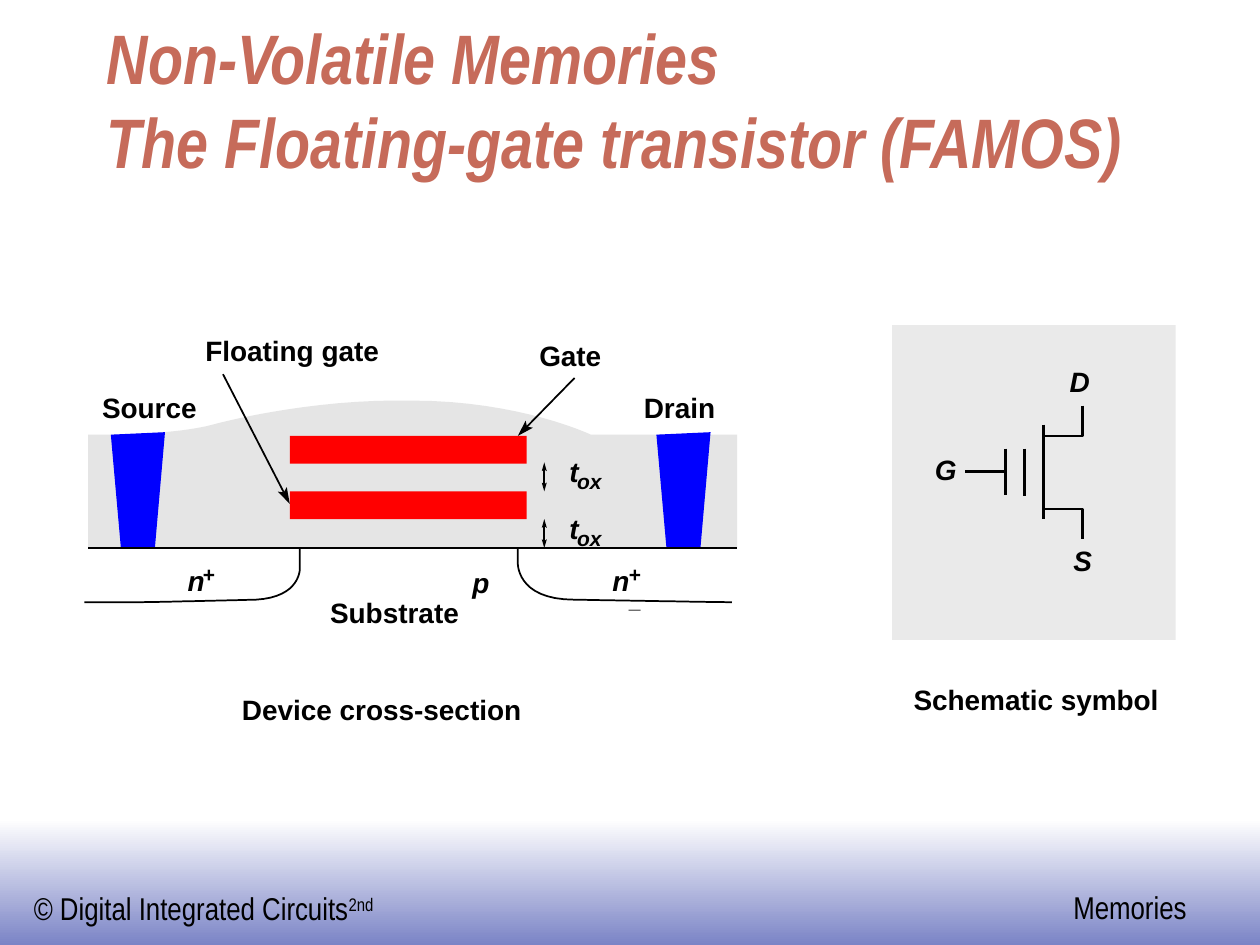
from math import hypot
from typing import NamedTuple

from lxml import etree
from pptx import Presentation
from pptx.dml.color import RGBColor
from pptx.enum.shapes import MSO_CONNECTOR, MSO_SHAPE
from pptx.enum.text import MSO_ANCHOR, MSO_AUTO_SIZE
from pptx.oxml.ns import qn
from pptx.util import Cm, Pt

RECT = MSO_SHAPE.RECTANGLE
LINE = MSO_CONNECTOR.STRAIGHT
TOP, BOTTOM = MSO_ANCHOR.TOP, MSO_ANCHOR.BOTTOM
GROW = MSO_AUTO_SIZE.SHAPE_TO_FIT_TEXT
BLACK, RED, BLUE = "000000", "FF0000", "0000FF"
NARROW = "Arial Narrow"
STEPS = 16
SLACK = 0.03


class Label(NamedTuple):
    text: str
    x: float
    y: float
    w: float
    size: int = 16
    slant: bool = False


class Wire(NamedTuple):
    x1: float
    y1: float
    x2: float
    y2: float
    width: float = 1


def inch(value: float) -> Cm:
    return Cm(value * 2.54)


def rgb(code: str) -> RGBColor:
    return RGBColor.from_string(code)


def paint(form, fill: str = "", line: str = "", width: float = 1):
    form.shadow.inherit = False
    if fill:
        form.fill.solid()
        form.fill.fore_color.rgb = rgb(fill)
    else:
        form.fill.background()
    if line:
        form.line.color.rgb = rgb(line)
        form.line.width = Pt(width)
    else:
        form.line.fill.background()


def block(pad, x: float, y: float, w: float, h: float, fill: str):
    form = pad.add_shape(RECT, *map(inch, (x, y, w, h)))
    paint(form, fill)
    return form


def write(pad, text: str, x: float, y: float, w: float, h: float, *,
          size: int = 16, font: str = "Arial", color: str = BLACK,
          bold: bool = True, slant: bool = False, wrap: bool = False,
          inset: bool = False, anchor=TOP, raised: str = ""):
    box = pad.add_textbox(*map(inch, (x, y, w, h)))
    frame = box.text_frame
    frame.word_wrap = wrap
    frame.vertical_anchor = anchor
    if not wrap:
        frame.auto_size = GROW
    if not inset:
        frame.margin_left = frame.margin_right = 0
        frame.margin_top = frame.margin_bottom = 0
    para = frame.paragraphs[0]
    para.text = text
    if raised:
        run = para.add_run()
        run.text = raised
        run._r.get_or_add_rPr().set("baseline", "30000")
    for run in para.runs:
        face = run.font
        face.name, face.size = font, Pt(size)
        face.bold, face.italic = bold, slant
        face.color.rgb = rgb(color)


def note(pad, label: Label):
    write(pad, label.text, label.x, label.y, label.w + SLACK,
          label.size / 60, size=label.size, slant=label.slant)


def draw(pad, wire: Wire):
    link = pad.add_connector(LINE, *map(inch, wire[:4]))
    link.line.color.rgb = rgb(BLACK)
    link.line.width = Pt(wire.width)
    etree.SubElement(link._element.spPr, qn("a:effectLst"))


def trace(path: list[tuple]) -> list[tuple]:
    """Turn points and six-number Bezier steps into plain points."""
    dots = [path[0]]
    for step in path[1:]:
        if len(step) == 2:
            dots.append(step)
            continue
        ends = (dots[-1], step[:2], step[2:4], step[4:])
        for i in range(1, STEPS + 1):
            t = i / STEPS
            mix = ((1 - t) ** 3, 3 * t * (1 - t) ** 2,
                   3 * t * t * (1 - t), t ** 3)
            dots.append(tuple(sum(m * e[k] for m, e in zip(mix, ends))
                              for k in (0, 1)))
    return dots


def shape(pad, path: list[tuple], fill: str = "", line: str = "",
          width: float = 1):
    dots = [(inch(x), inch(y)) for x, y in trace(path)]
    form = pad.build_freeform(*dots[0])
    form.add_line_segments(dots[1:], close=bool(fill))
    paint(form.convert_to_shape(), fill, line, width)


def arrow(pad, wire: Wire, size: float, half: float, both: bool = False):
    """Draw a line with barbed heads of the given length and half width."""
    x1, y1, x2, y2, _ = wire
    span = hypot(x2 - x1, y2 - y1)
    ux, uy = (x2 - x1) / span, (y2 - y1) / span
    notch = 0.8 * size
    skip = notch if both else 0
    draw(pad, Wire(x1 + skip * ux, y1 + skip * uy,
                   x2 - notch * ux, y2 - notch * uy))
    tips = [(x2, y2, 1)] + ([(x1, y1, -1)] if both else [])
    for x, y, way in tips:
        barbs = ((0, 0), (size, half), (notch, 0), (size, -half))
        shape(pad, [(x - way * (a * ux + b * uy), y - way * (a * uy - b * ux))
                    for a, b in barbs], fill=BLACK)


def footer(pad):
    band = block(pad, 0, 6.5, 10, 1, "FFFFFF")
    band.fill.gradient()
    band.fill.gradient_angle = 270
    for stop, place, code in zip(band.fill.gradient_stops, (0, 1),
                                 ("FFFFFF", "7B84C6")):
        stop.position = place
        stop.color.rgb = rgb(code)
    style = dict(size=18, font=NARROW, bold=False, inset=True)
    write(pad, "© Digital Integrated Circuits", 0.17, 7.01, 2.93, 0.4,
          raised="2nd", **style)
    write(pad, "Memories", 8.42, 7, 1.1, 0.4, **style)


def device(pad):
    shape(pad, [(4.11, 4.35), (4.11, 4.46),
                (4.11, 4.46, 4.09, 4.76, 4.56, 4.76),
                (4.56, 4.76, 5.7, 4.78, 5.81, 4.78)], line=BLACK)
    shape(pad, [(2.38, 4.35), (2.38, 4.51),
                (2.38, 4.51, 2.39, 4.74, 2.03, 4.76),
                (2.03, 4.76, 1.22, 4.78, 1.09, 4.78),
                (0.67, 4.78)], line=BLACK)
    shape(pad, [(3.28, 3.18), (4.12, 3.18, 4.69, 3.45, 4.69, 3.45),
                (5.85, 3.45), (5.85, 4.35), (0.7, 4.35), (0.7, 3.45),
                (0.88, 3.45), (0.88, 3.45, 1.39, 3.45, 1.69, 3.37),
                (1.69, 3.37, 2.44, 3.16, 3.28, 3.18)], fill="E5E5E5")
    for top in (3.46, 3.9):
        block(pad, 2.3, top, 1.88, 0.22, RED)
    for x in (0.88, 5.21):
        shape(pad, [(x + 0.08, 4.35), (x, 3.45), (x + 0.43, 3.43),
                    (x + 0.35, 4.35)], fill=BLUE)
    for wire in (Wire(1.77, 2.97, 2.3, 4), Wire(4.56, 3, 4.11, 3.46)):
        arrow(pad, wire, 0.13, 0.04)
    draw(pad, Wire(0.7, 4.35, 5.85, 4.35))
    for top in (3.67, 4.12):
        arrow(pad, Wire(4.32, top, 4.32, top + 0.23), 0.07, 0.02, both=True)
        note(pad, Label("t", 4.52, top - 0.06, 0.07, slant=True))
        note(pad, Label("ox", 4.58, top + 0.05, 0.19, 12, True))
    for label in (Label("Floating gate", 1.63, 2.65, 1.38),
                  Label("Source", 0.81, 3.1, 0.75),
                  Label("Substrate", 2.62, 4.73, 1.02),
                  Label("Gate", 4.28, 2.69, 0.49),
                  Label("Drain", 5.11, 3.1, 0.57),
                  Label("n", 1.49, 4.47, 0.14, slant=True),
                  Label("+", 1.61, 4.46, 0.1, 12),
                  Label("n", 4.86, 4.47, 0.14, slant=True),
                  Label("+_", 4.99, 4.46, 0.12, 12),
                  Label("p", 3.75, 4.49, 0.14, slant=True),
                  Label("Device cross-section", 1.92, 5.5, 2.22),
                  Label("Schematic symbol", 7.25, 5.42, 1.95)):
        note(pad, label)


def symbol(pad):
    for path in ([(8.28, 4.04), (8.59, 4.04), (8.59, 4.28)],
                 [(8.59, 3.22), (8.59, 3.46), (8.28, 3.46)]):
        shape(pad, path, line=BLACK, width=1.5)
    for ends in ((8.28, 3.37, 8.28, 4.12), (8.13, 3.56, 8.13, 3.94),
                 (7.66, 3.74, 7.98, 3.74), (7.98, 3.56, 7.98, 3.93)):
        draw(pad, Wire(*ends, width=1.5))
    for text, x, y in (("G", 7.42, 3.59), ("S", 8.52, 4.31),
                       ("D", 8.49, 2.89)):
        note(pad, Label(text, x, y, 0.17, slant=True))


def main():
    deck = Presentation()
    deck.slide_width, deck.slide_height = inch(10), inch(7.5)
    pad = deck.slides.add_slide(deck.slide_layouts[6]).shapes
    footer(pad)
    block(pad, 7.08, 2.58, 2.25, 2.5, "EAEAEA")
    write(pad, "Non-Volatile Memories\vThe Floating-gate transistor (FAMOS)",
          0.75, 0.25, 8.5, 1.25, size=40, font=NARROW, color="C66B5A",
          slant=True, wrap=True, inset=True, anchor=BOTTOM)
    device(pad)
    symbol(pad.add_group_shape().shapes)
    deck.save("out.pptx")


if __name__ == "__main__":
    main()
